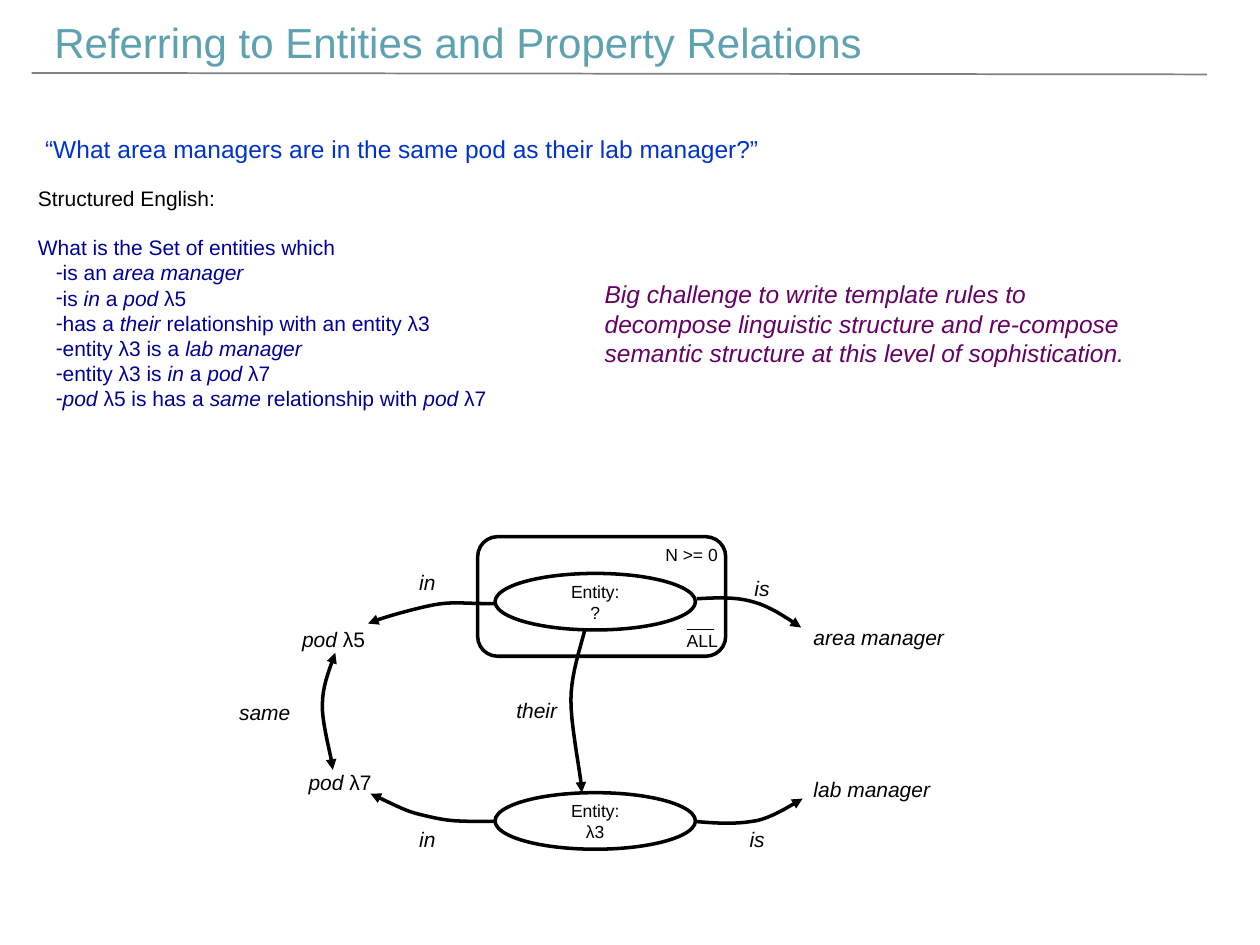
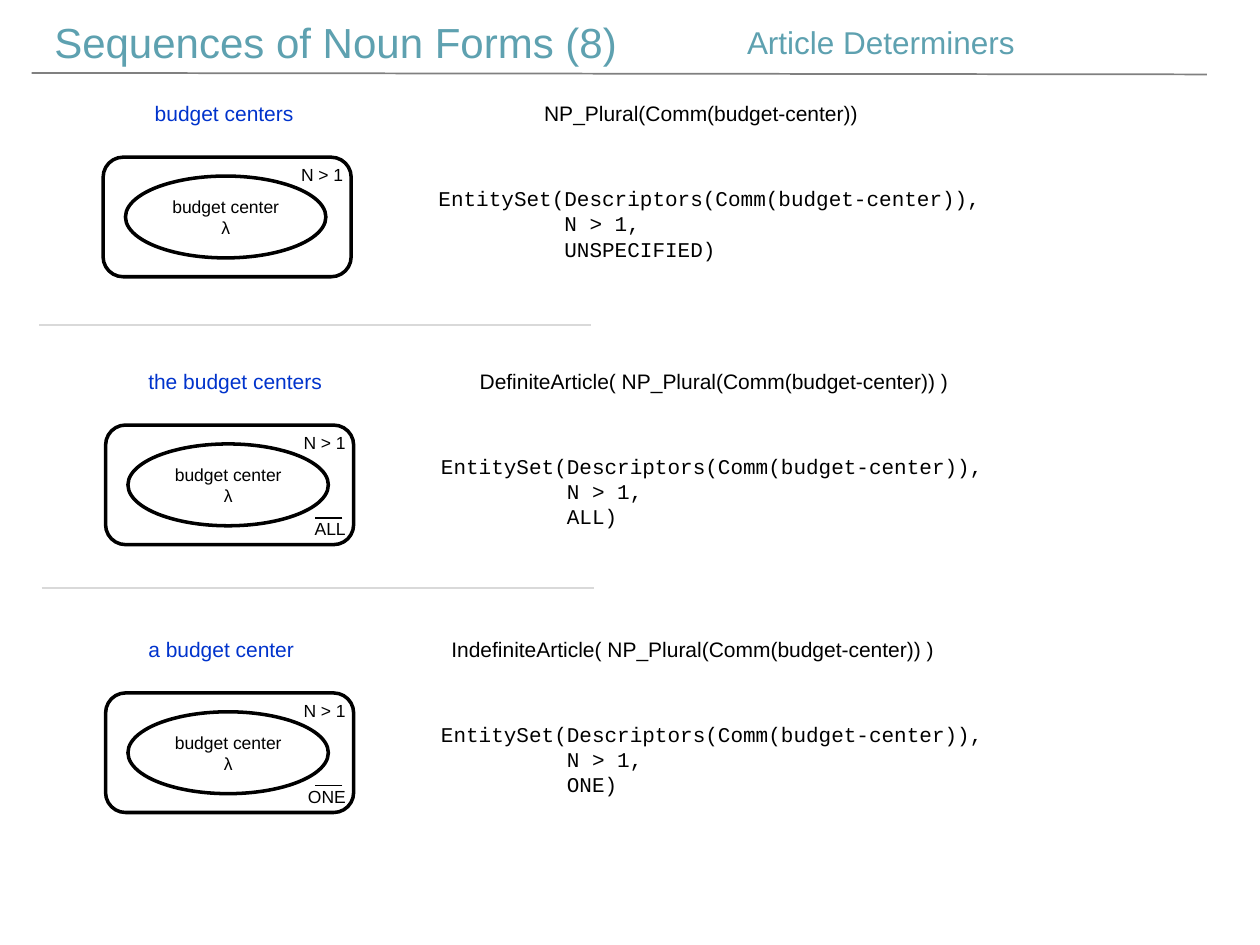
from dataclasses import dataclass

from lxml.etree import SubElement
from pptx import Presentation
from pptx.dml.color import RGBColor
from pptx.enum.shapes import MSO_CONNECTOR, MSO_SHAPE
from pptx.enum.text import MSO_ANCHOR, MSO_AUTO_SIZE, PP_ALIGN
from pptx.oxml.ns import qn
from pptx.shapes.base import BaseShape
from pptx.slide import Slide
from pptx.text.text import TextFrame, _Paragraph
from pptx.util import Cm, Pt

HUES = {"title": "5EA1B0", "rule": "808080", "query": "0033CC", "list": "000099",
        "note": "660066", "ink": "000000", "split": "D9D9D9"}
SANS, MONO = "Arial", "Courier New"
STEPS = 10


@dataclass
class Label:
    """Text in a box; parts between asterisks are italic."""
    text: str
    left: float
    top: float
    width: float
    height: float = 0.76
    size: int = 12
    hue: str = "ink"
    font: str = SANS
    wrap: bool = False
    align: PP_ALIGN = PP_ALIGN.LEFT


@dataclass
class Panel:
    """Rounded frame of an entity set with its count and quantifier."""
    left: float
    top: float
    count: str
    quant: str = ""


@dataclass
class Oval:
    """Entity node."""
    text: str
    left: float
    top: float
    height: float


@dataclass
class Curve:
    """Arrow along two joined Bézier curves, given by seven points."""
    points: list[tuple[float, float]]
    both: bool = False


@dataclass
class Row:
    """One noun form with its parse and its set."""
    phrase: str
    form: str
    tab: float
    quant: str
    scope: str
    shift: float = 0


LABELS = [
    Label("“What area managers are in the same pod as their lab manager?”",
          0.66, 2.57, 14.96, 0.86, 14, "query"),
    Label("*Big challenge to write template rules to decompose linguistic structure "
          "and re-compose*\n*semantic structure at this level of sophistication.*",
          11.94, 5.51, 11, 2.06, 14, "note", wrap=True),
    Label("*area manager*", 16.15, 12.47, 3.18),
    Label("*lab manager*", 16.15, 15.52, 2.87),
    Label("*their*", 10.16, 13.94, 1.35),
    Label("*is*", 14.96, 11.48, 0.81),
    Label("*is*", 14.86, 16.54, 0.81),
    Label("*in*", 8.2, 11.35, 0.84),
    Label("*in*", 8.2, 16.54, 0.84),
    Label("*pod* λ5", 5.84, 12.5, 1.8),
    Label("*pod* λ7", 5.97, 15.39, 1.8),
    Label("*same*", 4.57, 13.97, 1.55),
]

FACTS = [
    "is an *area manager*",
    "is *in* a *pod* λ5",
    "has a *their* relationship with an entity λ3",
    "entity λ3 is a *lab manager*",
    "entity λ3 is *in* a *pod* λ7",
    "*pod* λ5 is has a *same* relationship with *pod* λ7",
]

CURVES = [
    Curve([(11.79, 12.7), (11.71, 13.03), (11.51, 13.59), (11.51, 14.12),
           (11.51, 14.68), (11.73, 15.7), (11.73, 15.98)]),
    Curve([(14.02, 16.56), (14.55, 16.61), (14.91, 16.61), (15.27, 16.54),
           (15.62, 16.46), (16.03, 16.18), (16.18, 16.1)]),
    Curve([(14.05, 12.07), (14.55, 12.04), (14.88, 12.04), (15.21, 12.14),
           (15.57, 12.24), (16, 12.55), (16.15, 12.65)]),
    Curve([(9.98, 12.17), (9.35, 12.17), (9.17, 12.12), (8.76, 12.19),
           (8.33, 12.27), (7.54, 12.5), (7.42, 12.57)]),
    Curve([(10.01, 16.56), (9.19, 16.56), (9.07, 16.56), (8.64, 16.46),
           (8.2, 16.36), (8.23, 16.36), (7.47, 16)]),
    Curve([(6.76, 13.16), (6.68, 13.41), (6.5, 13.79), (6.5, 14.2),
           (6.48, 14.58), (6.71, 15.34), (6.71, 15.52)], both=True),
]

ROWS = [
    Row("budget centers", "NP_Plural(Comm(budget-center))", 7.85, "", "UNSPECIFIED", -0.05),
    Row("the budget centers", "DefiniteArticle( NP_Plural(Comm(budget-center)) )",
        6.68, "ALL", "ALL"),
    Row("a budget center", "IndefiniteArticle( NP_Plural(Comm(budget-center)) )",
        6.11, "ONE", "ONE"),
]


def tint(hue: str) -> RGBColor:
    """Look up a colour by its role."""
    return RGBColor.from_string(HUES[hue])


def write(para: _Paragraph, text: str, size: int, hue: str, font: str = SANS) -> None:
    """Add runs, switching italics at each asterisk."""
    for i, part in enumerate(text.split("*")):
        if part:
            run = para.add_run()
            run.text = part
            run.font.name, run.font.size = font, Pt(size)
            run.font.italic = i % 2 == 1
            run.font.color.rgb = tint(hue)


def place(shape: BaseShape, left: float, top: float, width: float, height: float,
          wrap: bool = False) -> TextFrame:
    """Set the bounds of a text shape and return its frame."""
    shape.left, shape.top = Cm(left), Cm(top)
    shape.width, shape.height = Cm(width), Cm(height)
    frame = shape.text_frame
    frame.word_wrap = wrap
    frame.auto_size = MSO_AUTO_SIZE.SHAPE_TO_FIT_TEXT
    frame.vertical_anchor = MSO_ANCHOR.TOP
    return frame


def grow(frame: TextFrame, i: int) -> _Paragraph:
    """Return the first paragraph, or a new one."""
    return frame.add_paragraph() if i else frame.paragraphs[0]


def draw_label(slide: Slide, item: Label) -> None:
    """Draw a text box."""
    box = slide.shapes.add_textbox(0, 0, 0, 0)
    frame = place(box, item.left, item.top, item.width, item.height, item.wrap)
    for i, line in enumerate(item.text.split("\n")):
        para = grow(frame, i)
        para.alignment = item.align
        write(para, line, item.size, item.hue, item.font)


def draw_line(slide: Slide, start: tuple[float, float], end: tuple[float, float],
              hue: str, width: float) -> None:
    """Draw a straight line."""
    line = slide.shapes.add_connector(MSO_CONNECTOR.STRAIGHT, *map(Cm, start + end))
    line.line.color.rgb, line.line.width = tint(hue), Pt(width)
    SubElement(line._element.spPr, qn("a:effectLst"))


def outline(shape: BaseShape) -> None:
    """Leave only a thick dark outline."""
    shape.shadow.inherit = False
    shape.fill.background()
    shape.line.color.rgb, shape.line.width = tint("ink"), Pt(2)


def draw_oval(slide: Slide, item: Oval) -> None:
    """Draw an entity node."""
    oval = slide.shapes.add_shape(MSO_SHAPE.OVAL, Cm(item.left), Cm(item.top),
                                  Cm(4.04), Cm(item.height))
    outline(oval)
    frame = oval.text_frame
    frame.word_wrap, frame.vertical_anchor = True, MSO_ANCHOR.MIDDLE
    for i, line in enumerate(item.text.split("\n")):
        para = grow(frame, i)
        para.alignment = PP_ALIGN.CENTER
        write(para, line, 10, "ink")


def draw_panel(slide: Slide, item: Panel) -> None:
    """Draw a set frame, its count and its overlined quantifier."""
    left, top = item.left, item.top
    outline(slide.shapes.add_shape(MSO_SHAPE.ROUNDED_RECTANGLE, Cm(left), Cm(top),
                                   Cm(5), Cm(2.41)))
    for text, drop in ((item.count, 0.02), (item.quant, 1.75)):
        if text:
            draw_label(slide, Label(text, left + 3.49, top + drop, 1.6, 0.68, 10,
                                    align=PP_ALIGN.RIGHT))
    if item.quant:
        draw_line(slide, (left + 4.77, top + 1.87), (left + 4.21, top + 1.87), "ink", 0.75)


def draw_curve(slide: Slide, item: Curve) -> None:
    """Draw a curved arrow."""
    track = []
    for k in (0, 3):
        for step in range(1, STEPS + 1):
            t = step / STEPS
            parts = ((1 - t) ** 3, 3 * t * (1 - t) ** 2, 3 * t * t * (1 - t), t ** 3)
            track.append(tuple(Cm(sum(w * p[axis] for w, p in zip(parts, item.points[k:k + 4])))
                               for axis in (0, 1)))
    x, y = item.points[0]
    pen = slide.shapes.build_freeform(Cm(x), Cm(y))
    pen.add_line_segments(track, close=False)
    arc = pen.convert_to_shape()
    outline(arc)
    for end in ("a:headEnd", "a:tailEnd") if item.both else ("a:tailEnd",):
        SubElement(arc.line._get_or_add_ln(), qn(end), type="triangle")


def start(deck: Presentation, kind: int, title: str, width: float) -> Slide:
    """Add a slide with its title and the rule below."""
    slide = deck.slides.add_slide(deck.slide_layouts[kind])
    frame = place(slide.shapes.title, 0.84, 0.2, width, 1.27)
    para = frame.paragraphs[0]
    para.alignment = PP_ALIGN.LEFT
    write(para, title, 24, "title")
    draw_line(slide, (0.64, 1.47), (24.33, 1.5), "rule", 1)
    return slide


def fill_list(frame: TextFrame) -> None:
    """Write the structured English with dashes as bullets."""
    lines = [("Structured English:", "ink", 0),
             ("What is the Set of entities which", "list", 13.8)]
    lines += [(fact, "list", 0) for fact in FACTS]
    for i, (text, hue, gap) in enumerate(lines):
        para = grow(frame, i)
        props = para._p.get_or_add_pPr()
        if i > 1:
            props.set("marL", str(Cm(0.5)))
            props.set("indent", str(-Cm(0.14)))
            SubElement(props, qn("a:buFont"), typeface=SANS)
            SubElement(props, qn("a:buChar"), char="-")
        else:
            props.set("marL", "0")
            props.set("indent", "0")
            SubElement(props, qn("a:buNone"))
        para.space_before = Pt(gap)
        write(para, text, 12, hue)


def draw_row(slide: Slide, item: Row, top: float) -> None:
    """Draw one noun form: phrase, parse, set and code."""
    box = slide.shapes.add_textbox(0, 0, 0, 0)
    indent = 2.74 - 2.6 * item.shift
    para = place(box, indent, top, 22, 0.76, True).paragraphs[0]
    tabs = SubElement(para._p.get_or_add_pPr(), qn("a:tabLst"))
    SubElement(tabs, qn("a:tab"), pos=str(Cm(item.tab)), algn="l")
    write(para, item.phrase + "\t", 12, "query")
    write(para, item.form, 12, "ink")
    left = 2.13 + item.shift
    draw_panel(slide, Panel(left, top + 1.27, "N > 1", item.quant))
    draw_oval(slide, Oval("budget center λ", left + 0.45, top + 1.65, 1.65))
    code = ("EntitySet(Descriptors(Comm(budget-center)),\n"
            f"          N > 1,\n          {item.scope})")
    draw_label(slide, Label(code, left + 6.51, top + 1.72, 11.61, 1.8, font=MONO))


def main() -> None:
    """Build both slides."""
    deck = Presentation()
    deck.slide_width, deck.slide_height = Cm(25.4), Cm(19.05)

    slide = start(deck, 1, "Referring to Entities and Property Relations", 16.97)
    fill_list(place(slide.placeholders[1], 0.51, 3.61, 9.63, 4.88))
    draw_panel(slide, Panel(9.63, 10.82, "N >= 0", "ALL"))
    for oval in (Oval("Entity:\n?", 9.98, 11.56, 1.14), Oval("Entity:\nλ3", 9.98, 15.98, 1.14)):
        draw_oval(slide, oval)
    for curve in CURVES:
        draw_curve(slide, curve)
    for label in LABELS:
        draw_label(slide, label)

    slide = start(deck, 5, "Sequences of Noun Forms (8)", 11.91)
    draw_label(slide, Label("Article Determiners", 14.81, 0.33, 6.55, 1.02, 18, "title",
                            wrap=True))
    for i, row in enumerate(ROWS):
        draw_row(slide, row, 1.9 + 5.4 * i)
    for left, top in ((0.79, 6.55), (0.84, 11.86)):
        draw_line(slide, (left, top), (left + 11.13, top), "split", 1)

    deck.save("out.pptx")


if __name__ == "__main__":
    main()
